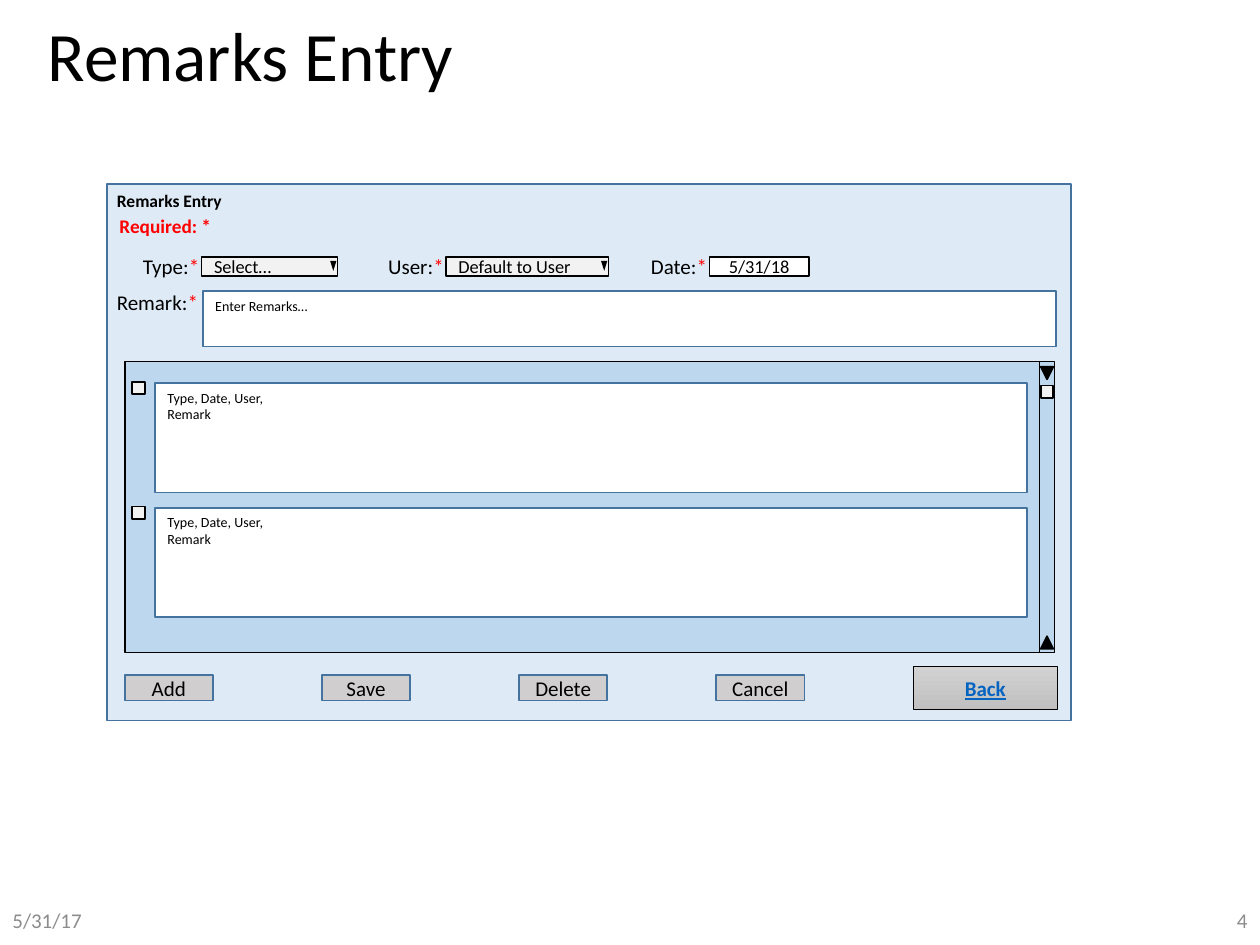
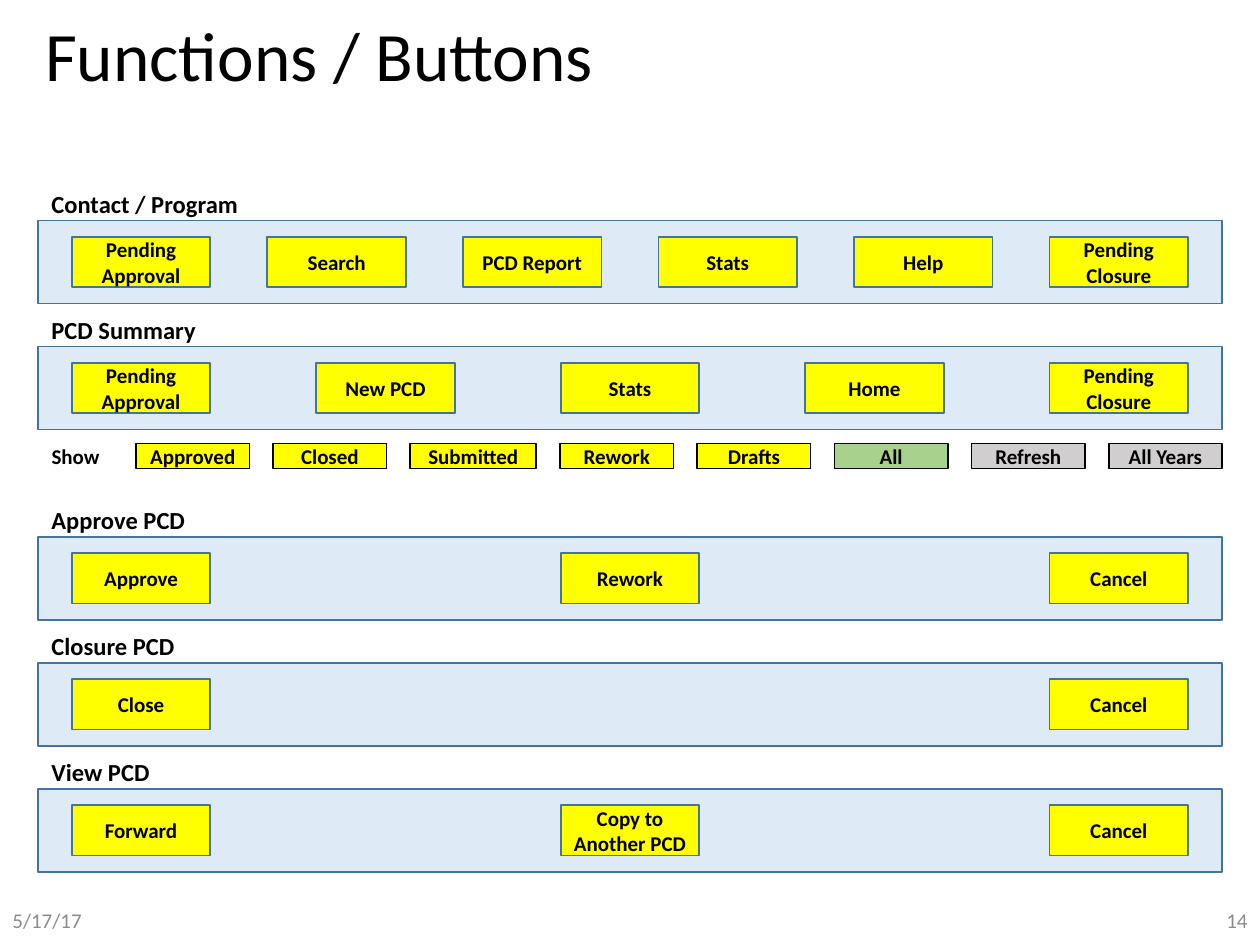
import pptx
import pptx.util
from lxml import etree
from pptx.dml.color import RGBColor
from pptx.enum.shapes import MSO_CONNECTOR, MSO_SHAPE
from pptx.enum.text import MSO_ANCHOR, PP_ALIGN
from pptx.oxml.ns import qn
from pptx.util import Inches

FONT = "Calibri"
BLACK = RGBColor(0x00, 0x00, 0x00)
WHITE = RGBColor(0xFF, 0xFF, 0xFF)
RED = RGBColor(0xFF, 0x00, 0x00)
YELLOW = RGBColor(0xFF, 0xFF, 0x00)
GREEN = RGBColor(0xA9, 0xD1, 0x8E)
GREY = RGBColor(0xD0, 0xCE, 0xCE)
FIELD_GREY = RGBColor(0xF2, 0xF2, 0xF2)
FOOTER_GREY = RGBColor(0x8C, 0x8C, 0x8C)
PALE_BLUE = RGBColor(0xDE, 0xEB, 0xF7)
LIST_BLUE = RGBColor(0xBD, 0xD7, 0xEE)
EDGE_BLUE = RGBColor(0x43, 0x73, 0x9E)
LINK_BLUE = RGBColor(0x05, 0x63, 0xC1)
GRADIENT_TOP = RGBColor(0xD2, 0xD2, 0xD2)
GRADIENT_BOTTOM = RGBColor(0xC0, 0xC0, 0xC0)

LEFT, CENTER, RIGHT = PP_ALIGN.LEFT, PP_ALIGN.CENTER, PP_ALIGN.RIGHT
TOP, MIDDLE = MSO_ANCHOR.TOP, MSO_ANCHOR.MIDDLE


# Shared helpers
def write(sp, lines, size, color=BLACK, bold=False, align=LEFT, anchor=MIDDLE,
          inset=(0.1, 0.05)):
    tf = sp.text_frame
    tf.word_wrap = True
    tf.vertical_anchor = anchor
    tf.margin_left = tf.margin_right = Inches(inset[0])
    tf.margin_top = tf.margin_bottom = Inches(inset[1])
    tf.text = "\n".join(lines)
    for p in tf.paragraphs:
        p.alignment = align
        p.font.name = FONT
        p.font.size = pptx.util.Pt(size)
        p.font.bold = bold
        p.font.color.rgb = color
    return tf.paragraphs[0]


def add_text(slide, box, text, size, **style):
    sp = slide.shapes.add_textbox(*map(Inches, box))
    return write(sp, [text], size, **style)


def add_box(slide, box, fill, line=EDGE_BLUE, kind=MSO_SHAPE.RECTANGLE, width=1):
    sp = slide.shapes.add_shape(kind, *map(Inches, box))
    sp.shadow.inherit = False
    sp.fill.solid()
    sp.fill.fore_color.rgb = fill
    if line is None:
        sp.line.fill.background()
    else:
        sp.line.color.rgb = line
        sp.line.width = pptx.util.Pt(width)
    return sp


def add_button(slide, box, text, fill, line=EDGE_BLUE, bold=True):
    sp = add_box(slide, box, fill, line)
    write(sp, [text], 12, bold=bold, align=CENTER, inset=(0.05, 0))


def add_triangle(slide, box, down=False, line=BLACK):
    sp = add_box(slide, box, BLACK, line, MSO_SHAPE.ISOSCELES_TRIANGLE)
    sp.rotation = 180 if down else 0


def add_check_box(slide, x, y):
    add_box(slide, (x, y, 0.1, 0.1), FIELD_GREY, BLACK, MSO_SHAPE.FLOWCHART_PROCESS)


def add_frame(prs, title, date, number, title_box):
    """Blank slide with title, date and page number."""
    slide = prs.slides.add_slide(prs.slide_layouts[6])
    p = add_text(slide, title_box, title, 39.6)
    p.line_spacing = 0.9
    add_text(slide, (0, 7.1, 2.25, 0.4), date, 12, color=FOOTER_GREY)
    add_text(slide, (7.75, 7.1, 2.25, 0.4), number, 12, color=FOOTER_GREY, align=RIGHT)
    return slide


# Remarks form
def add_field_label(slide, right, y, text):
    width = 1
    p = add_text(slide, (right - width, y, width, 0.3), text, 12, align=RIGHT, anchor=TOP)
    r = p.add_run()
    r.text = "*"
    r.font.color.rgb = RED


def add_field(slide, x, y, width, label, value, dropdown=True):
    add_field_label(slide, x + 0.08, y - 0.08, label)
    sp = add_box(slide, (x, y, width, 0.15), FIELD_GREY if dropdown else WHITE, BLACK)
    write(sp, [value], 10.5, align=LEFT if dropdown else CENTER, inset=(0.1, 0))
    if dropdown:
        add_triangle(slide, (x + width - 0.06, y + 0.03, 0.05, 0.08), down=True, line=None)


def add_remark_box(slide, box, lines):
    write(add_box(slide, box, WHITE), lines, 8, anchor=TOP)


def add_remark_list(slide, x, y, width, height):
    add_box(slide, (x, y, width, height), LIST_BLUE, BLACK)
    for i in range(2):
        row_y = y + 0.17 + 0.99 * i
        add_check_box(slide, x + 0.06, row_y - 0.01)
        add_remark_box(slide, (x + 0.24, row_y, 6.92, 0.87), ["Type, Date, User,", "Remark"])

    # Scroll bar
    bar_x = x + width - 0.12
    line = slide.shapes.add_connector(
        MSO_CONNECTOR.STRAIGHT, Inches(bar_x), Inches(y), Inches(bar_x), Inches(y + height))
    line.line.color.rgb = BLACK
    line.line.width = pptx.util.Pt(0.5)
    etree.SubElement(line._element.spPr, qn("a:effectLst"))
    add_triangle(slide, (bar_x + 0.01, y + 0.04, 0.1, 0.1), down=True)
    add_check_box(slide, bar_x + 0.01, y + 0.19)
    add_triangle(slide, (bar_x + 0.01, y + height - 0.13, 0.1, 0.1))


def add_back_button(slide, box):
    sp = add_box(slide, box, GREY, BLACK, MSO_SHAPE.ACTION_BUTTON_CUSTOM, 0.5)
    sp.fill.gradient()
    sp.fill.gradient_angle = 270
    for stop, color in zip(sp.fill.gradient_stops, (GRADIENT_TOP, GRADIENT_BOTTOM)):
        stop.color.rgb = color
    p = write(sp, ["Back"], 12, color=LINK_BLUE, bold=True, align=CENTER)
    p.font.underline = True


def add_remarks_form(slide, x, y, width, height):
    add_box(slide, (x, y, width, height), PALE_BLUE)
    add_text(slide, (x - 0.02, y, 1.68, 0.27), "Remarks Entry", 10, bold=True, anchor=TOP)
    add_text(slide, (x, y + 0.19, 1.2, 0.29), "Required: *", 11, color=RED, bold=True,
             anchor=TOP)

    # Entry fields
    add_field(slide, x + 0.75, y + 0.58, 1.08, "Type:", "Select…")
    add_field(slide, x + 2.69, y + 0.58, 1.29, "User:", "Default to User")
    add_field(slide, x + 4.78, y + 0.58, 0.79, "Date:", "5/31/18", dropdown=False)
    add_field_label(slide, x + 0.82, y + 0.79, "Remark:")
    add_remark_box(slide, (x + 0.76, y + 0.85, 6.77, 0.44), ["Enter Remarks…"])

    add_remark_list(slide, x + 0.14, y + 1.41, 7.38, 2.31)

    # Form buttons
    step = 6.26 / 4
    for i, name in enumerate(("Add", "Save", "Delete", "Cancel")):
        add_button(slide, (x + 0.14 + step * i, y + 3.9, 0.7, 0.2), name, GREY, bold=False)
    add_back_button(slide, (x + 0.14 + step * 4, y + 3.83, 1.14, 0.34))


# Button bands
def add_band(slide, x, y, width, heading, names):
    add_box(slide, (x, y, width, 0.66), PALE_BLUE)
    add_text(slide, (x + 0.01, y - 0.3, 2.5, 0.34), heading, 14, bold=True, anchor=TOP)
    margin, button_width = 0.27, 1.1
    step = (width - 2 * margin - button_width) / (len(names) - 1)
    for i, name in enumerate(names):
        add_button(slide, (x + margin + step * i, y + 0.13, button_width, 0.4), name, YELLOW)


def add_show_row(slide, x, y, width):
    add_text(slide, (x, y, 0.6, 0.2), "Show", 12, bold=True, align=CENTER, inset=(0.05, 0))
    filters = [
        ("Approved", 0.9, YELLOW), ("Closed", 0.9, YELLOW), ("Submitted", 1, YELLOW),
        ("Rework", 0.9, YELLOW), ("Drafts", 0.9, YELLOW), ("All", 0.9, GREEN),
        ("Refresh", 0.9, GREY), ("All Years", 0.9, GREY),
    ]
    left = x + 0.78
    gap = (width - 0.78 - sum(w for _, w, _ in filters)) / (len(filters) - 1)
    for name, w, fill in filters:
        add_button(slide, (left, y, w, 0.2), name, fill, BLACK)
        left += w + gap


def add_functions(slide, x, y, width):
    bands = [
        (0, "Contact / Program", ["Pending Approval", "Search", "PCD Report", "Stats",
                                  "Help", "Pending Closure"]),
        (1, "PCD Summary", ["Pending Approval", "New PCD", "Stats", "Home",
                            "Pending Closure"]),
        (2.51, "Approve PCD", ["Approve", "Rework", "Cancel"]),
        (3.51, "Closure PCD", ["Close", "Cancel"]),
        (4.51, "View PCD", ["Forward", "Copy to Another PCD", "Cancel"]),
    ]
    for offset, heading, names in bands:
        add_band(slide, x, y + offset, width, heading, names)
    add_show_row(slide, x, y + 1.77, width)


def main():
    prs = pptx.Presentation()
    prs.slide_width, prs.slide_height = Inches(10), Inches(7.5)

    slide = add_frame(prs, "Remarks Entry", "5/31/17", "4", (0.28, 0.11, 8.62, 0.71))
    add_remarks_form(slide, 0.85, 1.46, 7.65, 4.26)

    slide = add_frame(prs, "Functions / Buttons", "5/17/17", "14", (0.26, 0.09, 9.5, 0.76))
    add_functions(slide, 0.3, 1.75, 9.4)

    prs.save("out.pptx")


if __name__ == "__main__":
    main()
